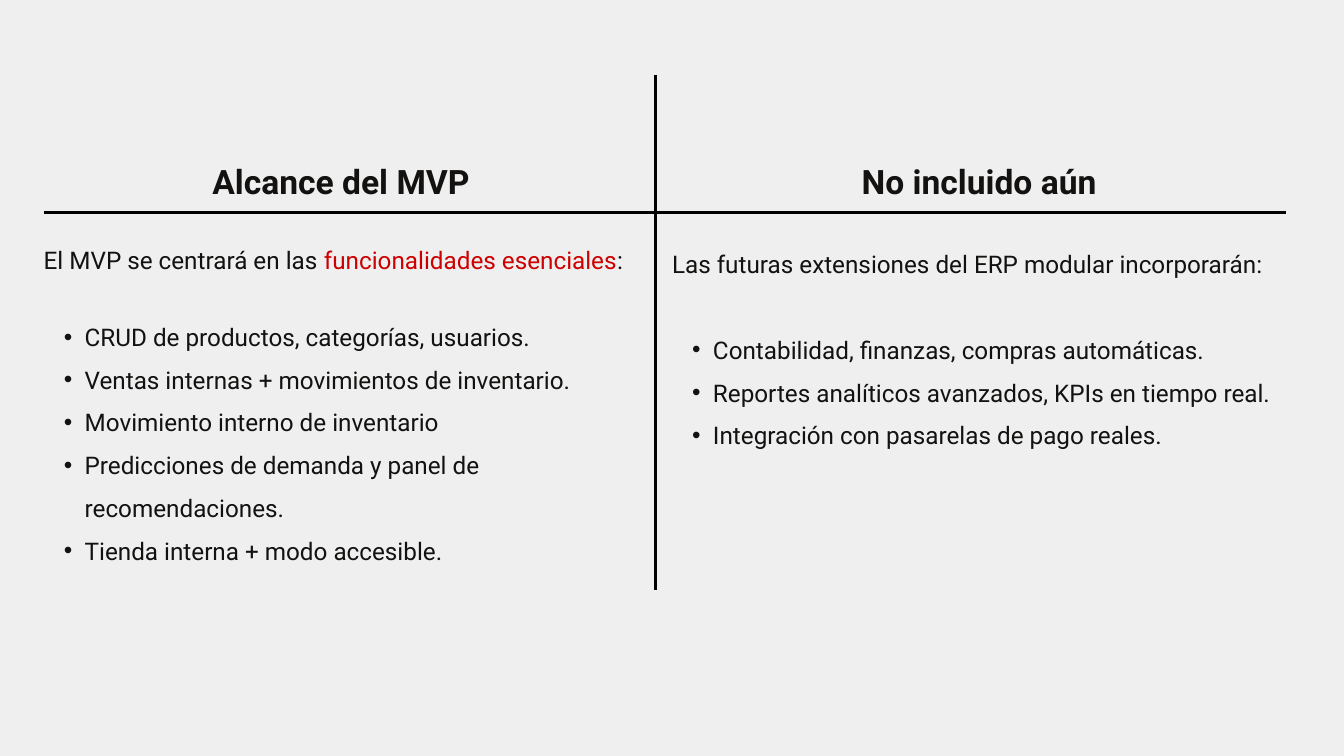
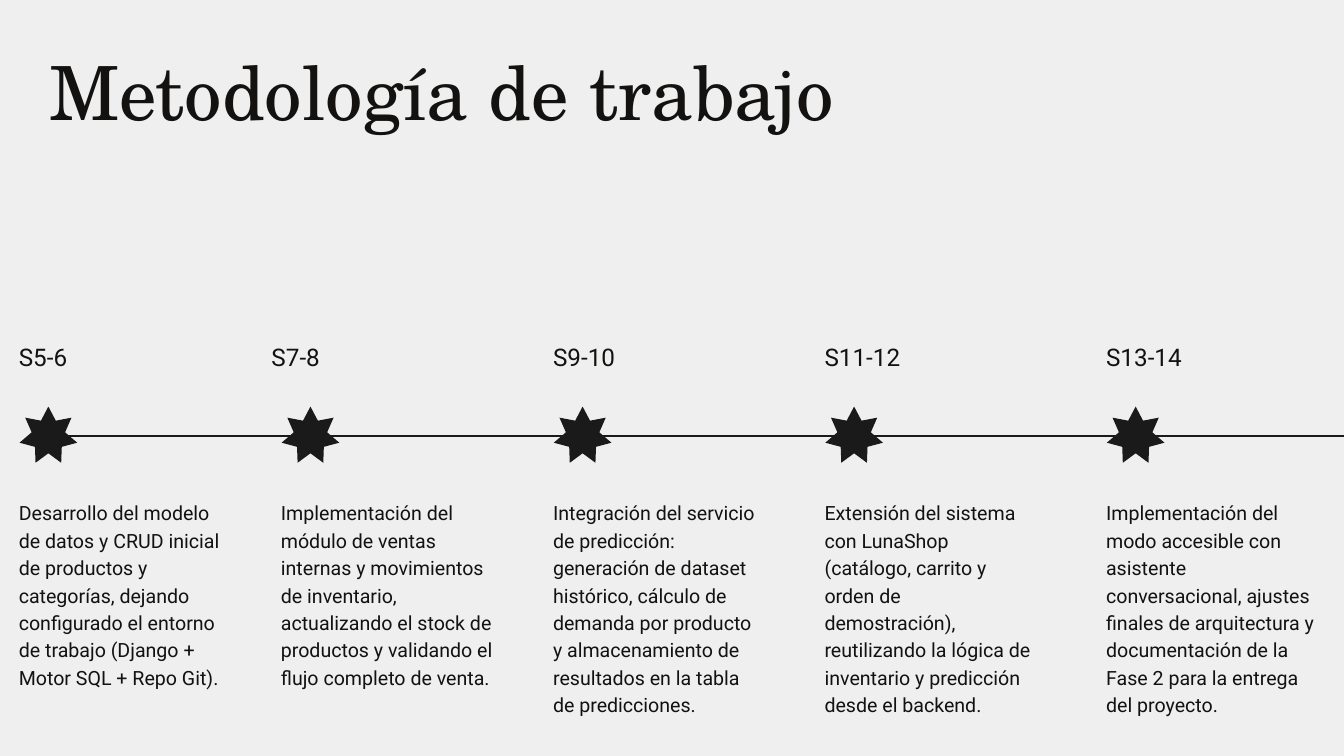
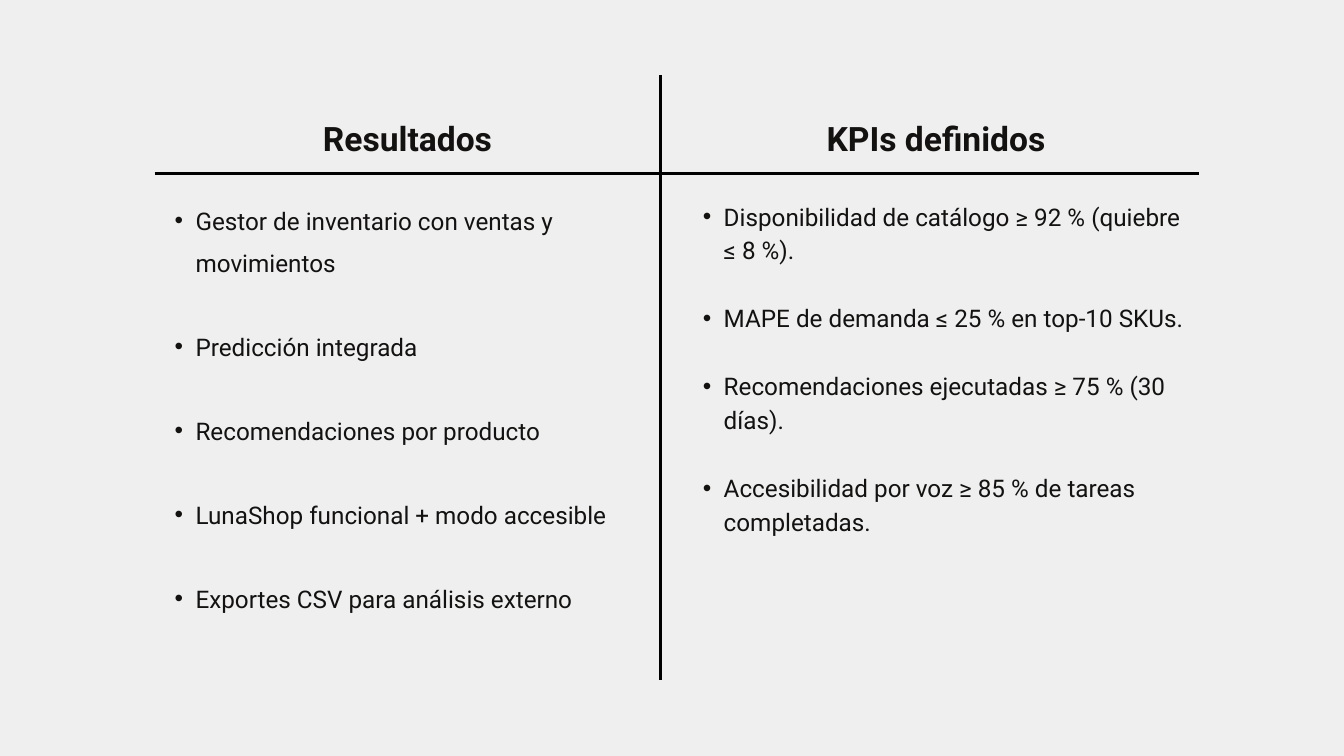
"""Builds three slides: MVP scope, work timeline, and results with KPIs."""
from math import cos, pi, sin

from lxml import etree
from pptx import Presentation
from pptx.dml.color import RGBColor
from pptx.enum.shapes import MSO_CONNECTOR
from pptx.enum.text import MSO_ANCHOR, MSO_AUTO_SIZE, PP_ALIGN
from pptx.oxml.ns import qn
from pptx.util import Inches, Pt

STRAIGHT = MSO_CONNECTOR.STRAIGHT
TOP, NO_AUTOFIT = MSO_ANCHOR.TOP, MSO_AUTO_SIZE.NONE
LEFT, CENTER = PP_ALIGN.LEFT, PP_ALIGN.CENTER
PAPER, INK, RULE, MARK, ACCENT = "EFEFEF", "131211", "000000", "1A1A1A", "CC0000"
SANS, SERIF = "Roboto", "TeX Gyre Schola"
COMPARISON, TITLE_ONLY = 4, 5
BULLET_INDENT, BULLET_HANG = 0.61, 0.31

SCOPE = {
    "heading_top": 2.3,
    "across": (0.65, 19.14, 3.16),
    "down": (9.75, 1.12, 8.78),
    "columns": [
        {
            "heading": "Alcance del MVP",
            "box": (0.65, 3.58, 8.85, 4.71),
            "intro": [("El MVP se centrará en las ", INK),
                      ("funcionalidades esenciales", ACCENT), (":", INK)],
            "intro_pitch": 36.4,
            "pitch": 45.8,
            "gap": 0,
            "items": [
                "CRUD de productos, categorías, usuarios.",
                "Ventas internas + movimientos de inventario.",
                "Movimiento interno de inventario",
                "Predicciones de demanda y panel de recomendaciones.",
                "Tienda interna + modo accesible.",
            ],
        },
        {
            "heading": "No incluido aún",
            "box": (10, 3.51, 9.14, 3.08),
            "intro": [("Las futuras extensiones del ERP modular incorporarán:", INK)],
            "intro_pitch": 45.8,
            "pitch": 45.8,
            "gap": 0,
            "items": [
                "Contabilidad, finanzas, compras automáticas.",
                "Reportes analíticos avanzados, KPIs en tiempo real.",
                "Integración con pasarelas de pago reales.",
            ],
        },
    ],
}

RESULTS = {
    "heading_top": 1.65,
    "across": (2.3, 17.84, 2.58),
    "down": (9.83, 1.12, 10.12),
    "columns": [
        {
            "heading": "Resultados",
            "box": (2.3, 2.87, 7.53, 6.06),
            "pitch": 45,
            "gap": 45,
            "items": [
                "Gestor de inventario con ventas y movimientos",
                "Predicción integrada",
                "Recomendaciones por producto",
                "LunaShop funcional + modo accesible",
                "Exportes CSV para análisis externo",
            ],
        },
        {
            "heading": "KPIs definidos",
            "box": (10.16, 2.93, 7.54, 6.47),
            "pitch": 36.4,
            "gap": 36.4,
            "items": [
                "Disponibilidad de catálogo ≥ 92 % (quiebre ≤ 8 %).",
                "MAPE de demanda ≤ 25 % en top-10 SKUs.",
                "Recomendaciones ejecutadas ≥ 75 % (30 días).",
                "Accesibilidad por voz ≥ 85 % de tareas completadas.",
            ],
        },
    ],
}

TIMELINE_TITLE = "Metodología de trabajo"
STAGES = [
    ("S5-6", 0.28, 0.28,
     "Desarrollo del modelo de datos y CRUD inicial de productos y categorías, "
     "dejando configurado el entorno de trabajo (Django + Motor SQL + Repo Git)."),
    ("S7-8", 4.04, 4.18,
     "Implementación del módulo de ventas internas y movimientos de inventario, "
     "actualizando el stock de productos y validando el flujo completo de venta."),
    ("S9-10", 8.23, 8.23,
     "Integración del servicio de predicción: generación de dataset histórico, "
     "cálculo de demanda por producto y almacenamiento de resultados en la tabla "
     "de predicciones."),
    ("S11-12", 12.27, 12.27,
     "Extensión del sistema con LunaShop (catálogo, carrito y orden de "
     "demostración), reutilizando la lógica de inventario y predicción desde el "
     "backend."),
    ("S13-14", 16.46, 16.46,
     "Implementación del modo accesible con asistente conversacional, ajustes "
     "finales de arquitectura y documentación de la Fase 2 para la entrega del "
     "proyecto."),
]
AXIS_Y, STAGE_WIDTH = 6.49, 3.15
STAR_POINTS, STAR_RADIUS, STAR_INNER = 7, 0.44, 0.58


def color(hex_code):
    """Turn a hex string into a colour."""
    return RGBColor.from_string(hex_code)


def prepare(holder, box):
    """Place a text holder, clear its margins and return its frame."""
    holder.left, holder.top, holder.width, holder.height = map(Inches, box)
    frame = holder.text_frame
    frame.margin_left = frame.margin_right = frame.margin_top = frame.margin_bottom = 0
    frame.word_wrap = True
    frame.auto_size = NO_AUTOFIT
    frame.vertical_anchor = TOP
    return frame


def write(paragraph, pieces, size, pitch, after=0, align=LEFT, font=SANS,
          bold=False, bullet=False):
    """Fill a paragraph with (text, colour) pieces."""
    paragraph.alignment = align
    paragraph.line_spacing = Pt(pitch)
    paragraph.space_before, paragraph.space_after = Pt(0), Pt(after)
    for words, hex_code in pieces:
        run = paragraph.add_run()
        run.text = words
        run.font.name, run.font.size, run.font.bold = font, Pt(size), bold
        run.font.color.rgb = color(hex_code)
    properties = paragraph._p.get_or_add_pPr()
    properties.set("marL", str(Inches(BULLET_INDENT if bullet else 0)))
    properties.set("indent", str(Inches(-BULLET_HANG if bullet else 0)))
    if bullet:
        etree.SubElement(properties, qn("a:buChar")).set("char", "•")
    else:
        etree.SubElement(properties, qn("a:buNone"))


def add_rule(slide, start, end, hex_code, weight):
    """Draw a straight line without shadow."""
    rule = slide.shapes.add_connector(STRAIGHT, *map(Inches, start + end))
    rule.line.color.rgb = color(hex_code)
    rule.line.width = Pt(weight)
    etree.SubElement(rule._element.spPr, qn("a:effectLst"))


def add_star(slide, center_x):
    """Draw a pointed star on the timeline axis."""
    corners = []
    for step in range(2 * STAR_POINTS):
        radius = STAR_RADIUS * (STAR_INNER if step % 2 else 1)
        angle = step * pi / STAR_POINTS
        corners.append((Inches(center_x + radius * sin(angle)),
                        Inches(AXIS_Y - radius * cos(angle))))
    outline = slide.shapes.build_freeform(*corners[0])
    outline.add_line_segments(corners[1:], close=True)
    star = outline.convert_to_shape()
    star.shadow.inherit = False
    star.fill.solid()
    star.fill.fore_color.rgb = color(MARK)
    star.line.fill.background()


def fill_list(frame, column):
    """Write an optional intro and the bulleted items of a column."""
    paragraph = frame.paragraphs[0]
    if "intro" in column:
        pitch = column["intro_pitch"]
        write(paragraph, column["intro"], 26, pitch, after=pitch)
        paragraph = frame.add_paragraph()
    for number, item in enumerate(column["items"]):
        if number:
            paragraph = frame.add_paragraph()
        write(paragraph, [(item, INK)], 26, column["pitch"], column["gap"], bullet=True)


def add_comparison(deck, content):
    """Add a slide with two headed lists split by a cross of rules."""
    slide = deck.slides.add_slide(deck.slide_layouts[COMPARISON])
    title, *holders = slide.placeholders
    title._element.getparent().remove(title._element)
    for column, heading, body in zip(content["columns"], holders[::2], holders[1::2]):
        left, _, width, _ = column["box"]
        frame = prepare(heading, (left, content["heading_top"], width, 0.65))
        write(frame.paragraphs[0], [(column["heading"], INK)], 36, 50.4,
              align=CENTER, bold=True)
        fill_list(prepare(body, column["box"]), column)
    left, right, y = content["across"]
    x, top, bottom = content["down"]
    add_rule(slide, (left, y), (right, y), RULE, 3)
    add_rule(slide, (x, top), (x, bottom), RULE, 3)


def add_timeline(deck):
    """Add the slide with the stages of work along an axis."""
    slide = deck.slides.add_slide(deck.slide_layouts[TITLE_ONLY])
    add_rule(slide, (0.64, AXIS_Y), (20, AXIS_Y), MARK, 1.5)
    frame = prepare(slide.shapes.title, (0.73, 0.8, 17.3, 1.26))
    write(frame.paragraphs[0], [(TIMELINE_TITLE, INK)], 80, 88, font=SERIF)
    for weeks, weeks_left, left, work in STAGES:
        for words, x, top, height, size in ((weeks, weeks_left, 5.02, 0.48, 26),
                                            (work, left, 7.4, 3.65, 21)):
            box = (x, top, STAGE_WIDTH, height)
            frame = prepare(slide.shapes.add_textbox(*map(Inches, box)), box)
            write(frame.paragraphs[0], [(words, INK)], size, size * 1.4)
        add_star(slide, left + STAR_RADIUS)


def main():
    """Build and save the deck."""
    deck = Presentation()
    deck.slide_width, deck.slide_height = Inches(20), Inches(11.25)
    backdrop = deck.slide_master.background.fill
    backdrop.solid()
    backdrop.fore_color.rgb = color(PAPER)
    add_comparison(deck, SCOPE)
    add_timeline(deck)
    add_comparison(deck, RESULTS)
    deck.save("out.pptx")


if __name__ == "__main__":
    main()
